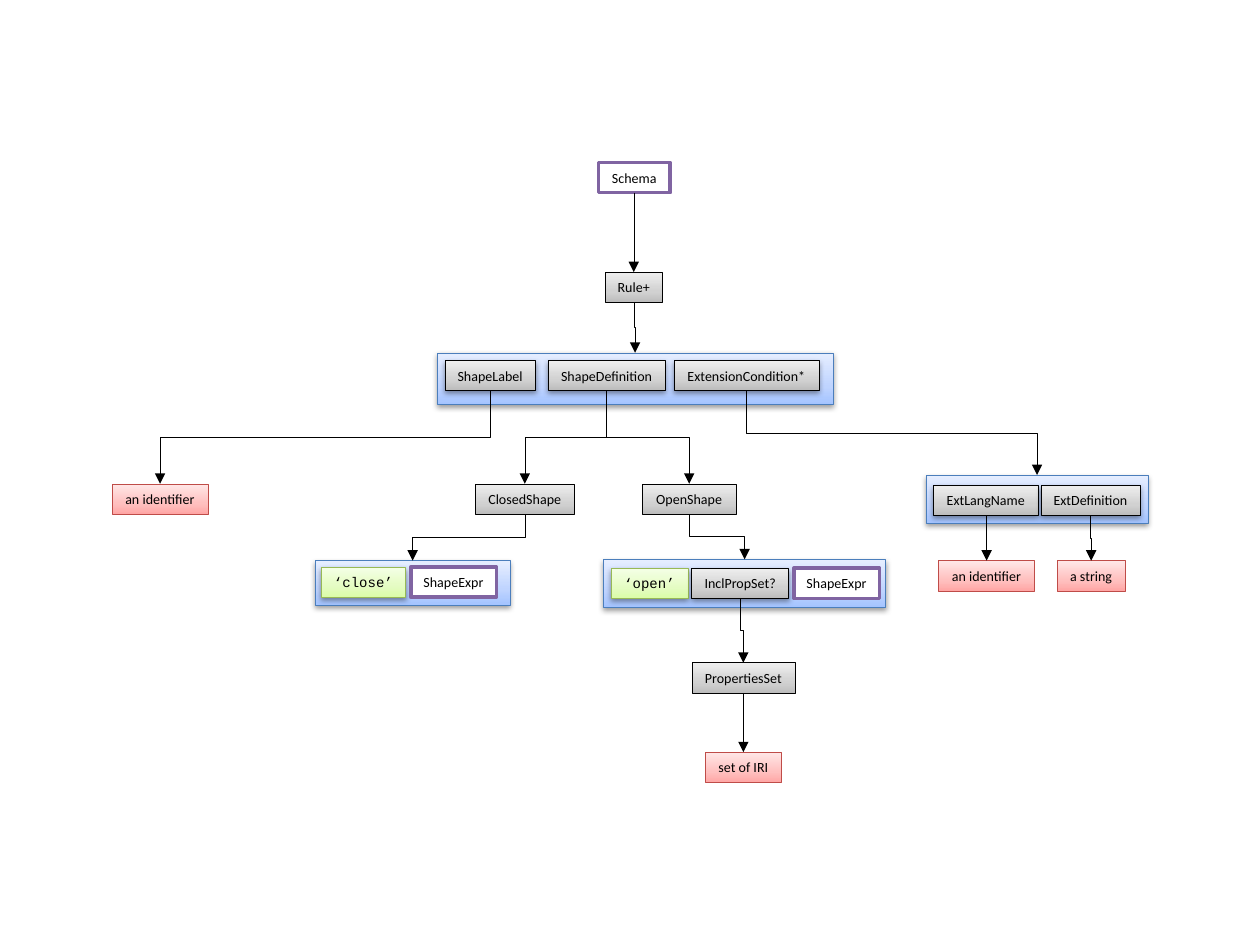
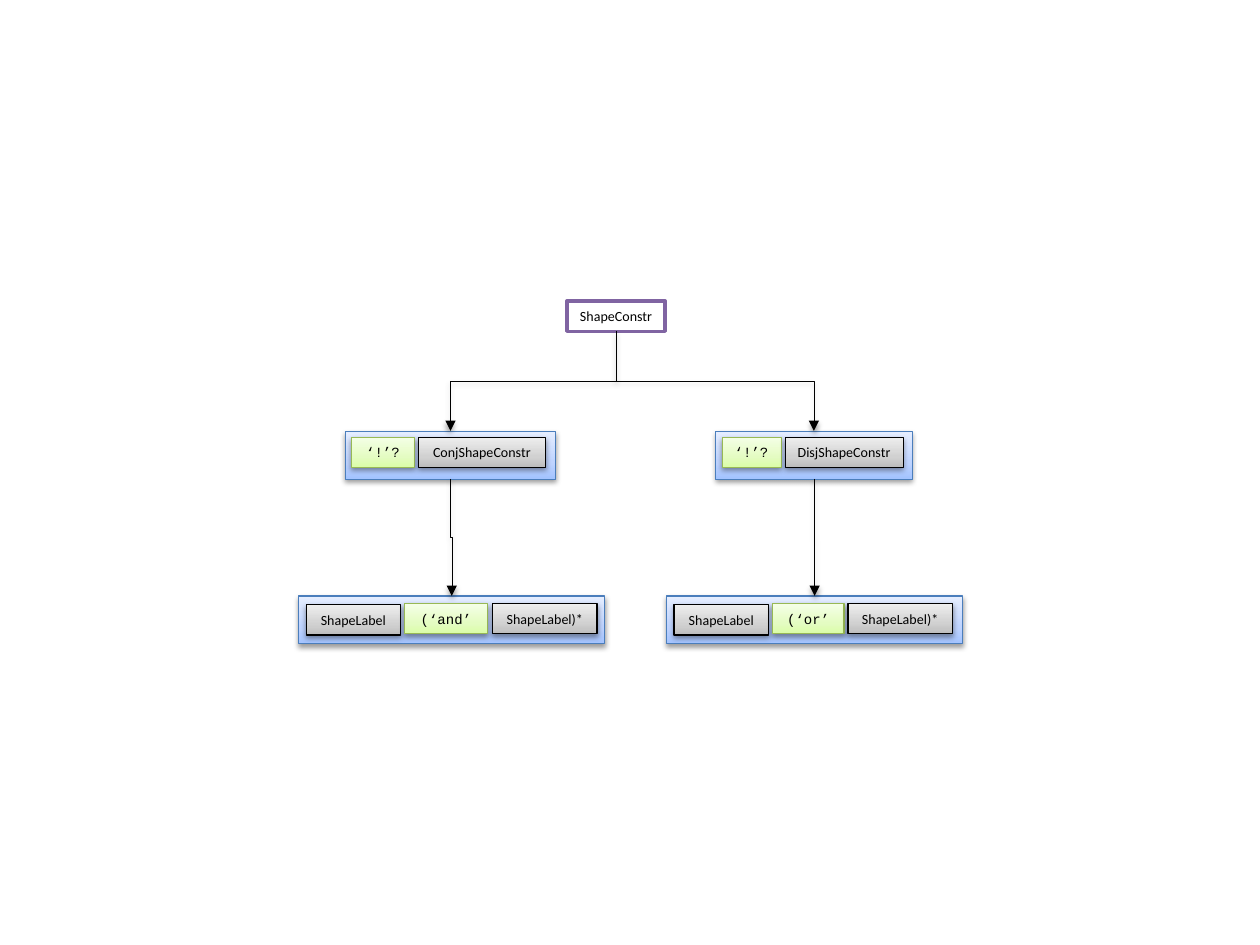
from copy import deepcopy

from lxml.etree import SubElement
from pptx import Presentation
from pptx.dml.color import RGBColor
from pptx.enum.shapes import MSO_CONNECTOR, MSO_SHAPE
from pptx.enum.text import MSO_ANCHOR, MSO_AUTO_SIZE, PP_ALIGN
from pptx.oxml.ns import qn
from pptx.util import Inches, Pt

BLACK = "000000"
BOX_HEIGHT = 0.24
THIN, MEDIUM, THICK = 0.25, 0.75, 2
STOPS = (0, 0.35, 1)
STYLES = {
    "band": {"fill": ("A4C4FF", "BFD4FF", "E6EEFF"), "line": "4B7EBC"},
    "rule": {"fill": ("BDBDBD", "D1D1D1", "EEEEEE"), "line": BLACK},
    "keyword": {"fill": ("DAFDA7", "E4FCC2", "F5FFE7"), "line": "98B955", "font": "Courier New"},
    "value": {"fill": ("FFA6A5", "FFC0BF", "FFE7E7"), "line": "BF4C48"},
    "reference": {"fill": "FFFFFF", "line": "8064A2"},
}

SCHEMA = {
    "boxes": [
        ("schema", "Schema", "reference", 4.75, 1.29, 0.57),
        ("rule", "Rule+", "rule", 4.8, 2.16, 0.46),
        ("label value", "an identifier", "value", 0.89, 3.84, 0.76),
        ("closed", "ClosedShape", "rule", 3.77, 3.84, 0.79),
        ("open", "OpenShape", "rule", 5.1, 3.84, 0.74),
        ("language value", "an identifier", "value", 7.45, 4.45, 0.76),
        ("definition value", "a string", "value", 8.39, 4.45, 0.54),
        ("properties", "PropertiesSet", "rule", 5.49, 5.26, 0.82),
        ("iri set", "set of IRI", "value", 5.6, 5.97, 0.6),
    ],
    "bands": [
        ("rule parts", (3.47, 2.8, 3.14, 0.41), THIN, [
            ("label", "ShapeLabel", "rule", 3.53, 2.86, 0.72),
            ("definition", "ShapeDefinition", "rule", 4.35, 2.86, 0.93),
            ("extension", "ExtensionCondition*", "rule", 5.35, 2.86, 1.15),
        ]),
        ("closed parts", (2.5, 4.45, 1.55, 0.35), THIN, [
            ("close", "‘close’", "keyword", 2.55, 4.5, 0.67),
            ("closed expression", "ShapeExpr", "reference", 3.26, 4.5, 0.68),
        ]),
        ("open parts", (4.79, 4.44, 2.24, 0.38), THIN, [
            ("open keyword", "‘open’", "keyword", 4.85, 4.51, 0.61),
            ("included", "InclPropSet?", "rule", 5.49, 4.51, 0.77),
            ("open expression", "ShapeExpr", "reference", 6.3, 4.51, 0.68),
        ]),
        ("extension parts", (7.35, 3.77, 1.76, 0.38), THIN, [
            ("language", "ExtLangName", "rule", 7.41, 3.85, 0.83),
            ("external", "ExtDefinition", "rule", 8.26, 3.85, 0.79),
        ]),
    ],
    "arrows": [
        ("schema", "rule"), ("rule", "rule parts"), ("label", "label value"),
        ("definition", "closed"), ("definition", "open"), ("extension", "extension parts"),
        ("closed", "closed parts"), ("open", "open parts"), ("included", "properties"),
        ("properties", "iri set"), ("language", "language value"), ("external", "definition value"),
    ],
    "arrow shadow": False,
}

CONSTRAINT = {
    "boxes": [("constraint", "ShapeConstr", "reference", 4.5, 2.39, 0.78)],
    "bands": [
        ("conjunction", (2.74, 3.42, 1.67, 0.38), THIN, [
            ("not and", "‘!’?", "keyword", 2.79, 3.47, 0.5),
            ("conjunction rule", "ConjShapeConstr", "rule", 3.32, 3.47, 1.01),
        ]),
        ("disjunction", (5.68, 3.42, 1.56, 0.38), THIN, [
            ("not or", "‘!’?", "keyword", 5.73, 3.47, 0.47),
            ("disjunction rule", "DisjShapeConstr", "rule", 6.23, 3.47, 0.94),
        ]),
        ("and parts", (2.37, 4.73, 2.43, 0.38), MEDIUM, [
            ("first and", "ShapeLabel", "rule", 2.43, 4.8, 0.75),
            ("and", "(‘and’", "keyword", 3.21, 4.79, 0.66),
            ("more and", "ShapeLabel)*", "rule", 3.91, 4.79, 0.83),
        ]),
        ("or parts", (5.29, 4.73, 2.35, 0.38), MEDIUM, [
            ("first or", "ShapeLabel", "rule", 5.35, 4.8, 0.75),
            ("or", "(‘or’", "keyword", 6.13, 4.79, 0.57),
            ("more or", "ShapeLabel)*", "rule", 6.73, 4.79, 0.83),
        ]),
    ],
    "arrows": [
        ("constraint", "conjunction"), ("constraint", "disjunction"),
        ("conjunction", "and parts"), ("disjunction", "or parts"),
    ],
    "arrow shadow": True,
}


def color(hex_value):
    """Turn a hex string into a colour."""
    return RGBColor.from_string(hex_value)


def set_line(shape, hex_value, width):
    """Give a shape or connector a solid line."""
    shape.line.color.rgb = color(hex_value)
    shape.line.width = Pt(width)


def set_fill(shape, fill):
    """Fill with one colour or with a vertical three-stop gradient."""
    if isinstance(fill, str):
        shape.fill.solid()
        shape.fill.fore_color.rgb = color(fill)
        return
    shape.fill.gradient()
    shape.fill.gradient_angle = 90
    stop_list = shape._element.spPr.find(qn("a:gradFill")).find(qn("a:gsLst"))
    stop_list.append(deepcopy(stop_list[0]))
    for stop, position, hex_value in zip(shape.fill.gradient_stops, STOPS, fill):
        stop.position = position
        stop.color.rgb = color(hex_value)


def set_shadow(shape, visible):
    """Replace the theme shadow by a soft one below, or by none."""
    effects = SubElement(shape._element.spPr, qn("a:effectLst"))
    if visible:
        shadow = SubElement(effects, qn("a:outerShdw"), blurRad=str(Pt(3.1)), dist=str(Pt(1.6)),
                            dir="5400000", rotWithShape="0")
        black = SubElement(shadow, qn("a:srgbClr"), val=BLACK)
        SubElement(black, qn("a:alpha"), val="38000")


def add_box(slide, text, kind, position, line_width, shadow):
    """Draw one styled rectangle with its centred label."""
    style = STYLES[kind]
    shape = slide.shapes.add_shape(MSO_SHAPE.RECTANGLE, *map(Inches, position))
    set_fill(shape, style["fill"])
    set_line(shape, style["line"], THICK if kind == "reference" else line_width)
    set_shadow(shape, shadow and kind != "reference")
    if text:
        frame = shape.text_frame
        frame.text = text
        frame.word_wrap = False
        frame.auto_size = MSO_AUTO_SIZE.NONE
        frame.vertical_anchor = MSO_ANCHOR.MIDDLE
        paragraph = frame.paragraphs[0]
        paragraph.alignment = PP_ALIGN.CENTER
        font = paragraph.runs[0].font
        font.name = style.get("font", "Calibri")
        font.size = Pt(8)
        font.color.rgb = color(BLACK)
    return shape


def add_boxes(slide, boxes, line_width, shadow):
    """Draw a list of boxes and return them by name."""
    return {name: add_box(slide, text, kind, (left, top, width, BOX_HEIGHT), line_width, shadow)
            for name, text, kind, left, top, width in boxes}


def add_arrow(slide, parent, child, shadow):
    """Join a parent's bottom to a child's top with a bend that leaves downwards."""
    connector = slide.shapes.add_connector(MSO_CONNECTOR.ELBOW, 0, 0, 0, 0)
    connector.begin_connect(parent, 2)
    connector.end_connect(child, 0)
    start_x, start_y = parent.left + parent.width // 2, parent.top + parent.height
    end_x, end_y = child.left + child.width // 2, child.top
    across, down = abs(end_x - start_x), end_y - start_y
    to_right = end_x > start_x
    connector.left = (start_x + end_x - down) // 2
    connector.top = (start_y + end_y - across) // 2
    connector.width, connector.height = down, across
    connector.rotation = 270 if to_right else 90
    transform = connector._element.spPr.find(qn("a:xfrm"))
    transform.set("flipH", str(int(to_right)))
    transform.set("flipV", "0")
    set_line(connector, BLACK, THIN)
    SubElement(connector.line._get_or_add_ln(), qn("a:tailEnd"), type="triangle")
    set_shadow(connector, shadow)


def add_tree(presentation, tree):
    """Add one slide with a grammar tree."""
    slide = presentation.slides.add_slide(presentation.slide_layouts[6])
    shapes = add_boxes(slide, tree["boxes"], THIN, False)
    for name, position, line_width, members in tree["bands"]:
        shapes[name] = add_box(slide, "", "band", position, line_width, True)
        shapes.update(add_boxes(slide, members, line_width, True))
    for parent, child in tree["arrows"]:
        add_arrow(slide, shapes[parent], shapes[child], tree["arrow shadow"])


def main():
    """Build the presentation and save it."""
    presentation = Presentation()
    presentation.slide_width, presentation.slide_height = Inches(10), Inches(7.5)
    for tree in (SCHEMA, CONSTRAINT):
        add_tree(presentation, tree)
    presentation.save("out.pptx")


if __name__ == "__main__":
    main()
